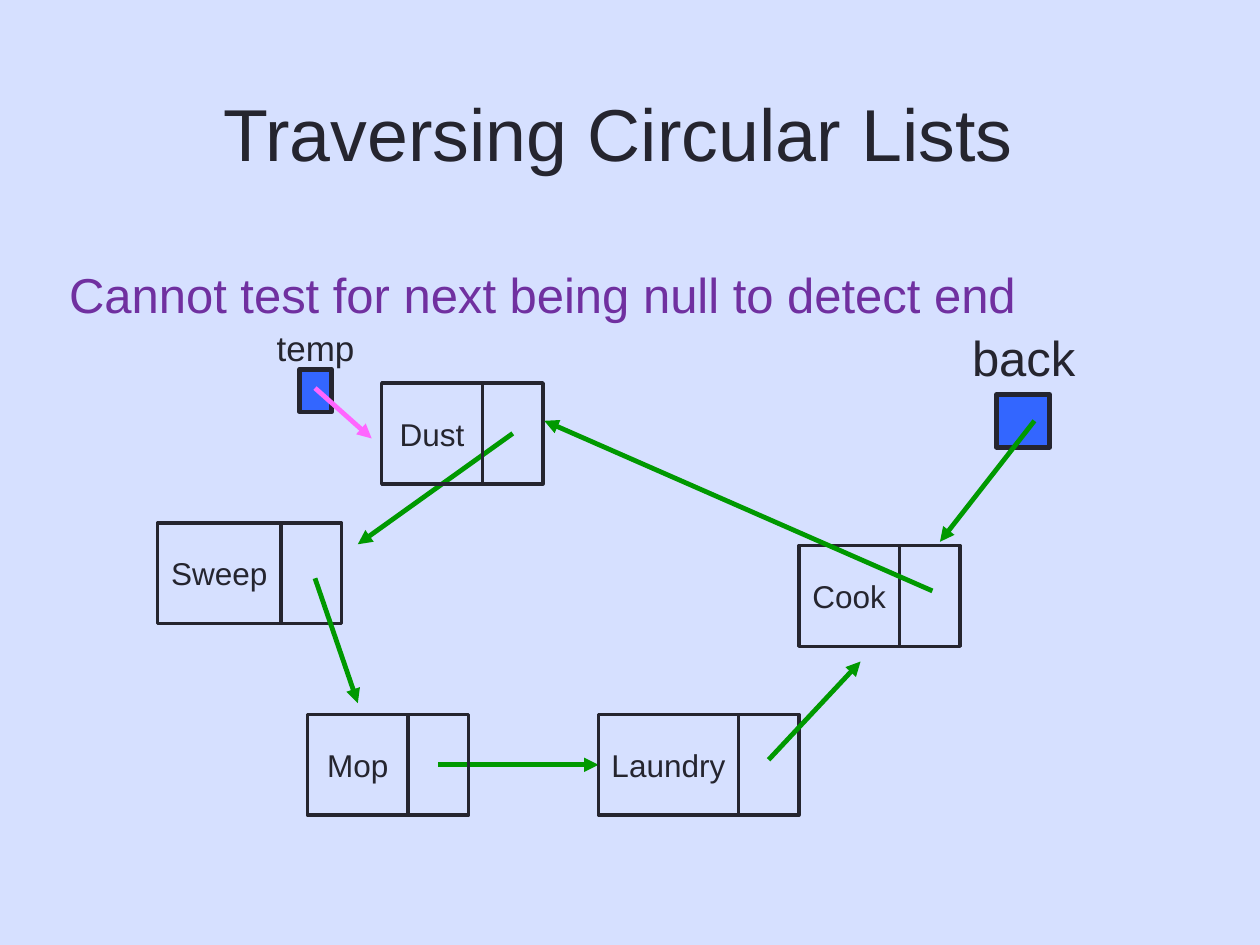
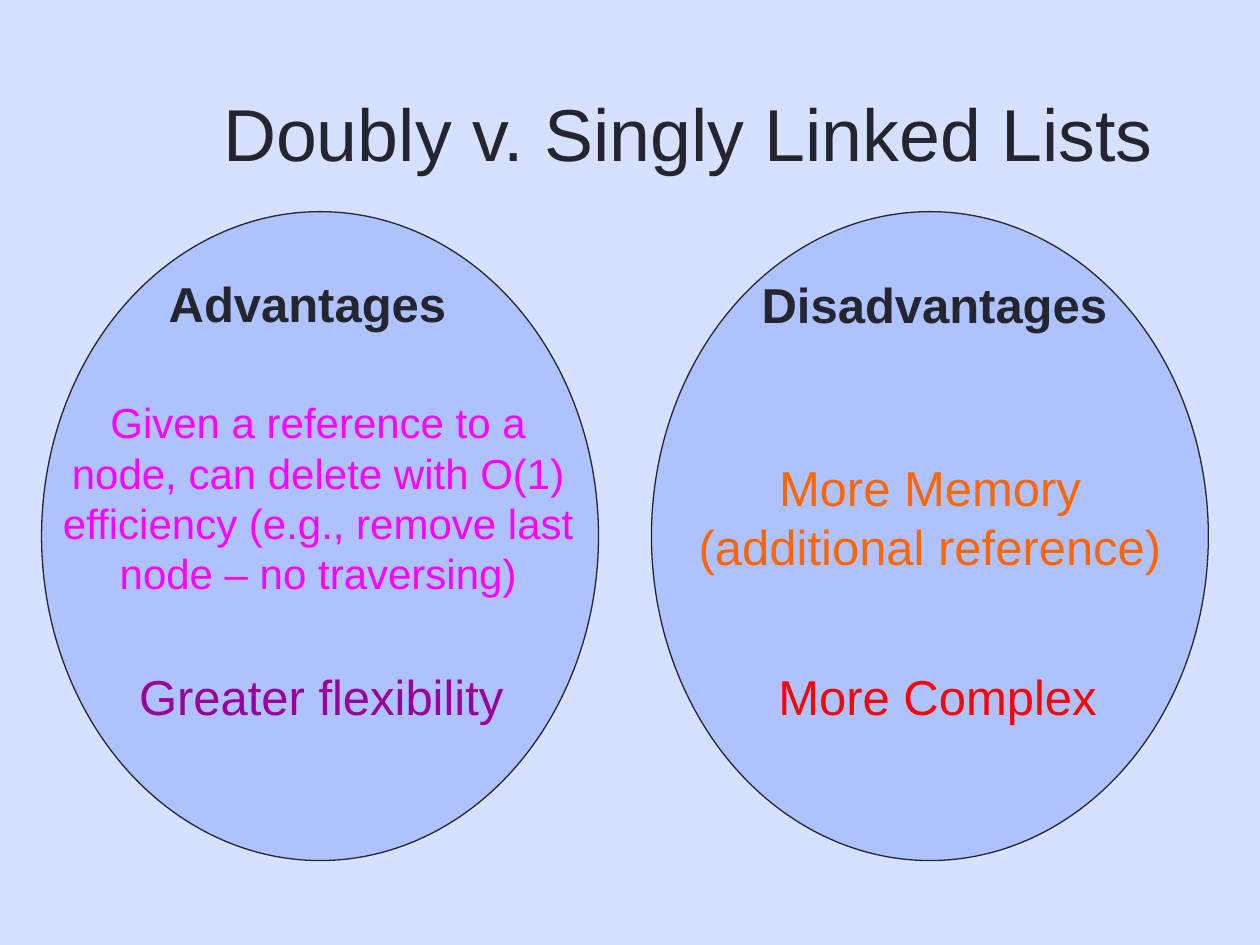
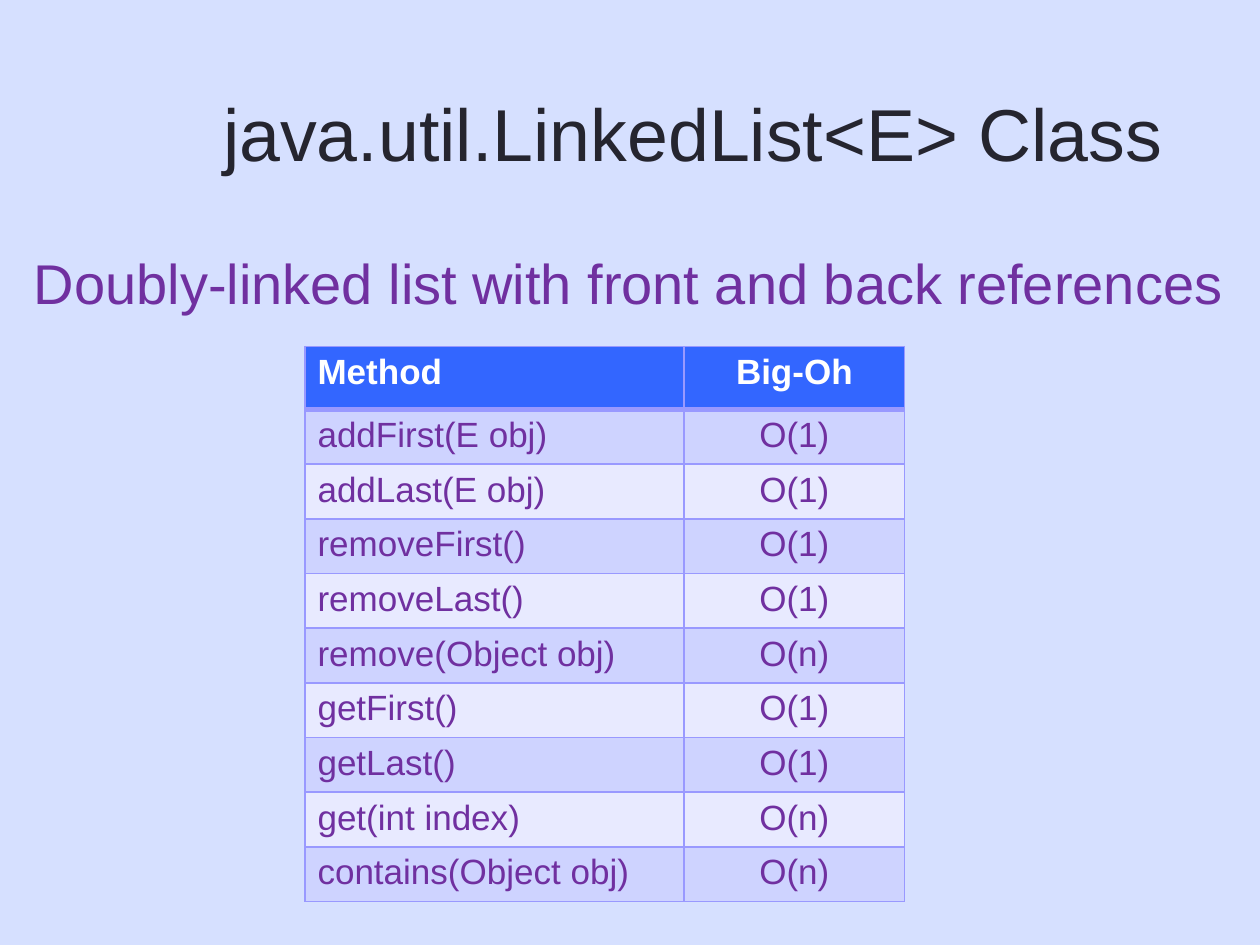
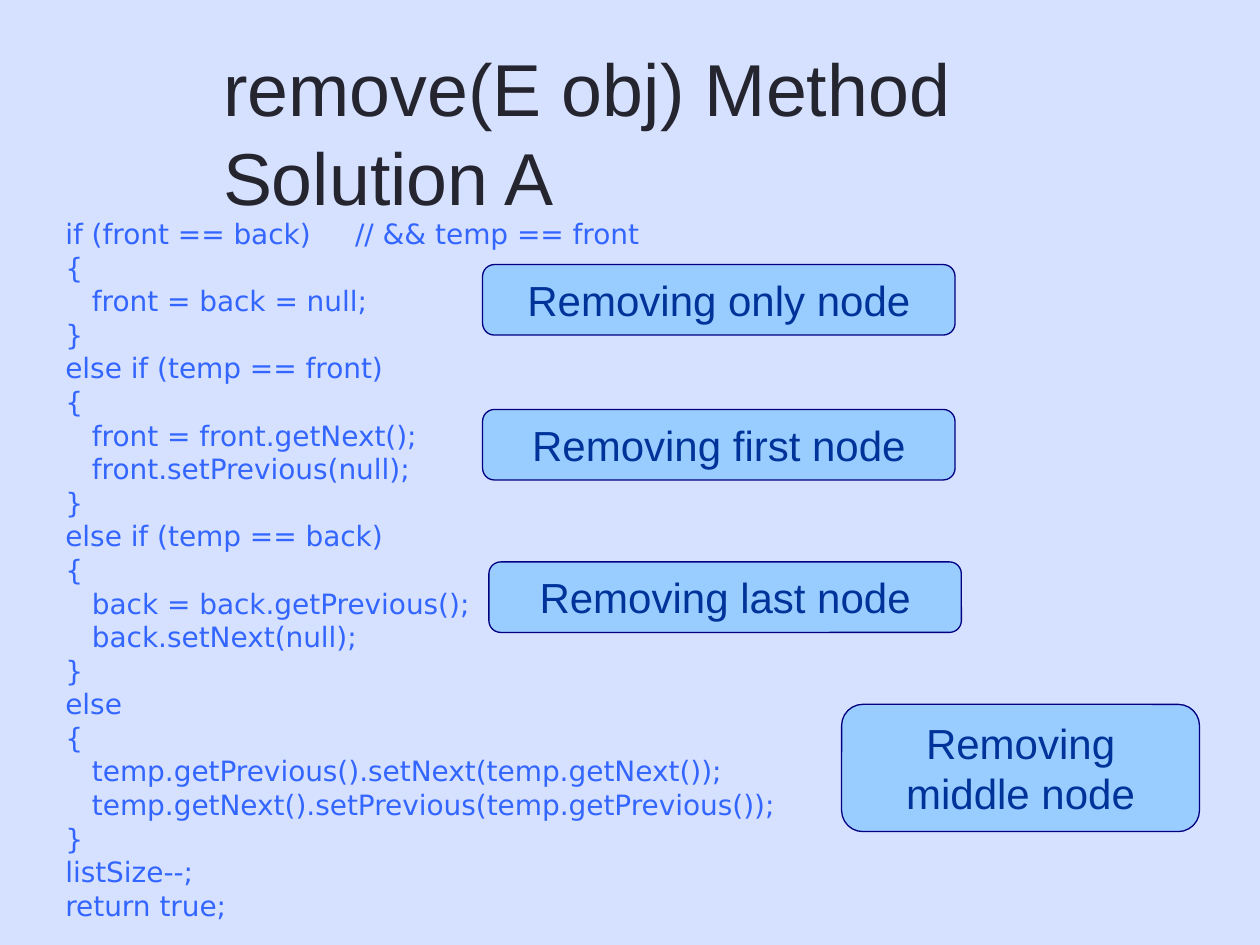
from dataclasses import dataclass

from lxml import etree
from pptx import Presentation, util as u
from pptx.dml.color import RGBColor
from pptx.enum import shapes as kinds, text as txt
from pptx.oxml import ns

SCALE = 9144  # EMU per px, 100 px to the inch


@dataclass(frozen=True)
class Theme:
    font: str = "Arial"
    mono: str = "DejaVu Sans"
    back: str = "D6E0FF"
    ink: str = "25252F"
    blue: str = "3366FF"
    purple: str = "7030A0"
    green: str = "009900"
    pink: str = "FF66FF"
    magenta: str = "FF00FF"
    plum: str = "990099"
    orange: str = "FF6600"
    red: str = "FF0000"
    oval: str = "ADC2FF"
    white: str = "FFFFFF"
    grid: str = "9999FF"
    bands: tuple = ("CED3FF", "E8EAFF")
    note: str = "99CCFF"
    edge: str = "000080"
    navy: str = "003399"
    title: int = 42
    lead: int = 32
    head: int = 28
    body: int = 24
    cell: int = 20
    node: int = 18
    code: int = 16


T = Theme()
LEFT, MID = txt.PP_ALIGN.LEFT, txt.PP_ALIGN.CENTER
TITLE = (167, 21, 767, 167)
RECT = kinds.MSO_SHAPE.RECTANGLE


def px(*nums):
    return [u.Emu(n * SCALE) for n in nums]


def rgb(code):
    return RGBColor.from_string(code)


# Shared parts

def style(frame, size, color, bold=False, align=LEFT, font=T.font):
    for para in frame.paragraphs:
        para.alignment = align
        for run in para.runs:
            run.font.name, run.font.size = font, u.Pt(size)
            run.font.bold = bold
            run.font.color.rgb = rgb(color)


def label(parts, box, words, size, color, wrap=False, **look):
    frame = parts.add_textbox(*px(*box)).text_frame
    frame.word_wrap = wrap
    frame.auto_size = txt.MSO_AUTO_SIZE.SHAPE_TO_FIT_TEXT
    frame.text = words
    style(frame, size, color, **look)


def block(parts, kind, box, line, width, fill=None):
    shape = parts.add_shape(kind, *px(*box))
    shape.shadow.inherit = False
    shape.line.color.rgb = rgb(line)
    shape.line.width = u.Pt(width)
    if fill:
        shape.fill.solid()
        shape.fill.fore_color.rgb = rgb(fill)
    else:
        shape.fill.background()
    return shape


def arrow(parts, start, end, color=T.green):
    link = parts.add_connector(kinds.MSO_CONNECTOR.STRAIGHT, *px(*start, *end))
    link.line.color.rgb = rgb(color)
    link.line.width = u.Pt(2.75)
    tip = etree.SubElement(link.line._get_or_add_ln(), ns.qn("a:tailEnd"))
    tip.set("type", "triangle")
    etree.SubElement(link._element.spPr, ns.qn("a:effectLst"))


def page(prs, words):
    slide = prs.slides.add_slide(prs.slide_layouts[5])
    title = slide.shapes.title
    title.left, title.top, title.width, title.height = px(*TITLE)
    frame = title.text_frame
    frame.auto_size = txt.MSO_AUTO_SIZE.NONE
    frame.vertical_anchor = txt.MSO_ANCHOR.MIDDLE
    frame.paragraphs[0].text = words
    style(frame, T.title, T.ink)
    return slide.shapes


# Circular list

def node(parts, left, top, width, word):
    high, slot = 80, 48
    frame = block(parts, RECT, (left, top, width, high), T.ink, 2).text_frame
    frame.word_wrap = False
    frame.vertical_anchor = txt.MSO_ANCHOR.MIDDLE
    frame.text = word
    style(frame, T.node, T.ink, align=MID)
    block(parts, RECT, (left + width, top, slot, high), T.ink, 2)


def pointer(parts, name, size, high, box):
    """Name box centred above a filled reference cell."""
    left, top, width, tall = box
    label(parts, (left, top, 117, high), name, size, T.ink, align=MID)
    cell = (left + (117 - width) // 2, top + high - 0, width, tall)
    block(parts, RECT, cell, T.ink, 2.75, T.blue)


def circle(prs):
    parts = page(prs, "Traversing Circular Lists")
    label(parts, (45, 205, 774, 57), "Cannot test for next being null to detect end",
          T.head, T.purple)

    ring = parts.add_group_shape().shapes
    for start, end in [((407, 344), (284, 432)), ((348, 607), (475, 607))]:
        arrow(ring, start, end)
    for spot in [(303, 304, 80, "Dust"), (125, 415, 98, "Sweep"),
                 (244, 567, 80, "Mop"), (475, 567, 111, "Laundry"),
                 (634, 433, 80, "Cook")]:
        node(ring, *spot)
    pointer(ring, "back", T.head, 58, (754, 255, 42, 42))
    for start, end in [((821, 334), (746, 430)), ((250, 459), (284, 558)),
                       ((610, 603), (683, 525)), ((740, 469), (432, 334))]:
        arrow(ring, start, end)

    temp = parts.add_group_shape().shapes
    pointer(temp, "temp", T.cell, 39, (192, 254, 25, 34))
    arrow(temp, (250, 308), (295, 348), T.pink)


# Two ovals

def oval(parts, left, top, items):
    block(parts, kinds.MSO_SHAPE.OVAL, (left, top, 442, 515), T.ink, 0.75, T.oval)
    for (dx, dy, wide, high), words, size, color, bold in items:
        label(parts, (left + dx, top + dy, wide, high), words, size, color,
              wrap=high > 60, bold=bold, align=MID)


def compare(prs):
    parts = page(prs, "Doubly v. Singly Linked Lists")
    oval(parts, 33, 168, [
        ((88, 44, 246, 57), "Advantages", T.head, T.ink, True),
        ((6, 142, 427, 170), "Given a reference to a node, can delete with O(1) "
         "efficiency (e.g., remove last node – no traversing)",
         T.body, T.magenta, False),
        ((67, 356, 310, 57), "Greater flexibility", T.head, T.plum, False)])
    oval(parts, 517, 168, [
        ((77, 45, 295, 57), "Disadvantages", T.head, T.ink, True),
        ((25, 190, 392, 103), "More Memory (additional reference)",
         T.head, T.orange, False),
        ((90, 356, 274, 57), "More Complex", T.head, T.red, False)])


# Method table

def border(cell, base):
    props = cell._tc.get_or_add_tcPr()
    for side in "LRTB":
        width = base if side == "B" else 1
        line = etree.SubElement(props, ns.qn("a:ln" + side), w=str(u.Pt(width)))
        fill = etree.SubElement(line, ns.qn("a:solidFill"))
        etree.SubElement(fill, ns.qn("a:srgbClr"), val=T.grid)


def grid(parts, box, widths, rows):
    frame = parts.add_table(len(rows), len(widths), *px(*box))
    table = frame.table
    for col, width in zip(table.columns, px(*widths)):
        col.width = width
    for i, row in enumerate(rows):
        top = i == 0
        table.rows[i].height = px(50 if top else 43)[0]
        for j, words in enumerate(row):
            cell = table.cell(i, j)
            border(cell, 3 if top else 1)
            cell.fill.solid()
            cell.fill.fore_color.rgb = rgb(T.blue if top else T.bands[(i - 1) % 2])
            cell.text_frame.text = words
            style(cell.text_frame, T.cell, T.white if top else T.purple,
                  bold=top, align=MID if j else LEFT)
    frame.height = px(box[3])[0]


def methods(prs):
    parts = page(prs, "java.util.LinkedList<E> Class")
    label(parts, (17, 192, 972, 64),
          "Doubly-linked list with front and back references", T.lead, T.purple)
    grid(parts, (242, 275, 476, 440), (301, 175), [
        ("Method", "Big-Oh"),
        ("addFirst(E obj)", "O(1)"),
        ("addLast(E obj)", "O(1)"),
        ("removeFirst()", "O(1)"),
        ("removeLast()", "O(1)"),
        ("remove(Object obj)", "O(n)"),
        ("getFirst()", "O(1)"),
        ("getLast()", "O(1)"),
        ("get(int index)", "O(n)"),
        ("contains(Object obj)", "O(n)")])


# Code with callouts

CODE = """if (front == back)     // && temp == front
{
   front = back = null;
}
else if (temp == front)
{
   front = front.getNext();
   front.setPrevious(null);
}
else if (temp == back)
{
   back = back.getPrevious();
   back.setNext(null);
}
else
{
   temp.getPrevious().setNext(temp.getNext());
   temp.getNext().setPrevious(temp.getPrevious());
}
listSize--;
return true;"""


def callout(parts, box, words):
    shape = block(parts, kinds.MSO_SHAPE.ROUNDED_RECTANGLE, box, T.edge, 0.75, T.note)
    frame = shape.text_frame
    frame.word_wrap = True
    frame.auto_size = txt.MSO_AUTO_SIZE.SHAPE_TO_FIT_TEXT
    frame.vertical_anchor = txt.MSO_ANCHOR.MIDDLE
    frame.text = words
    style(frame, T.body, T.navy, align=MID)


def remove(prs):
    parts = page(prs, "remove(E obj) Method\nSolution A")
    label(parts, (42, 167, 925, 592), CODE, T.code, T.blue, wrap=True, font=T.mono)
    for box, which in [((383, 210, 375, 56), "only"), ((383, 325, 375, 56), "first"),
                       ((388, 446, 375, 56), "last"), ((668, 559, 284, 101), "middle")]:
        callout(parts, box, f"Removing {which} node")


def main():
    prs = Presentation()
    prs.slide_width, prs.slide_height = px(1000, 750)
    fill = prs.slide_master.background.fill
    fill.solid()
    fill.fore_color.rgb = rgb(T.back)
    for build in (circle, compare, methods, remove):
        build(prs)
    prs.save("out.pptx")


if __name__ == "__main__":
    main()
